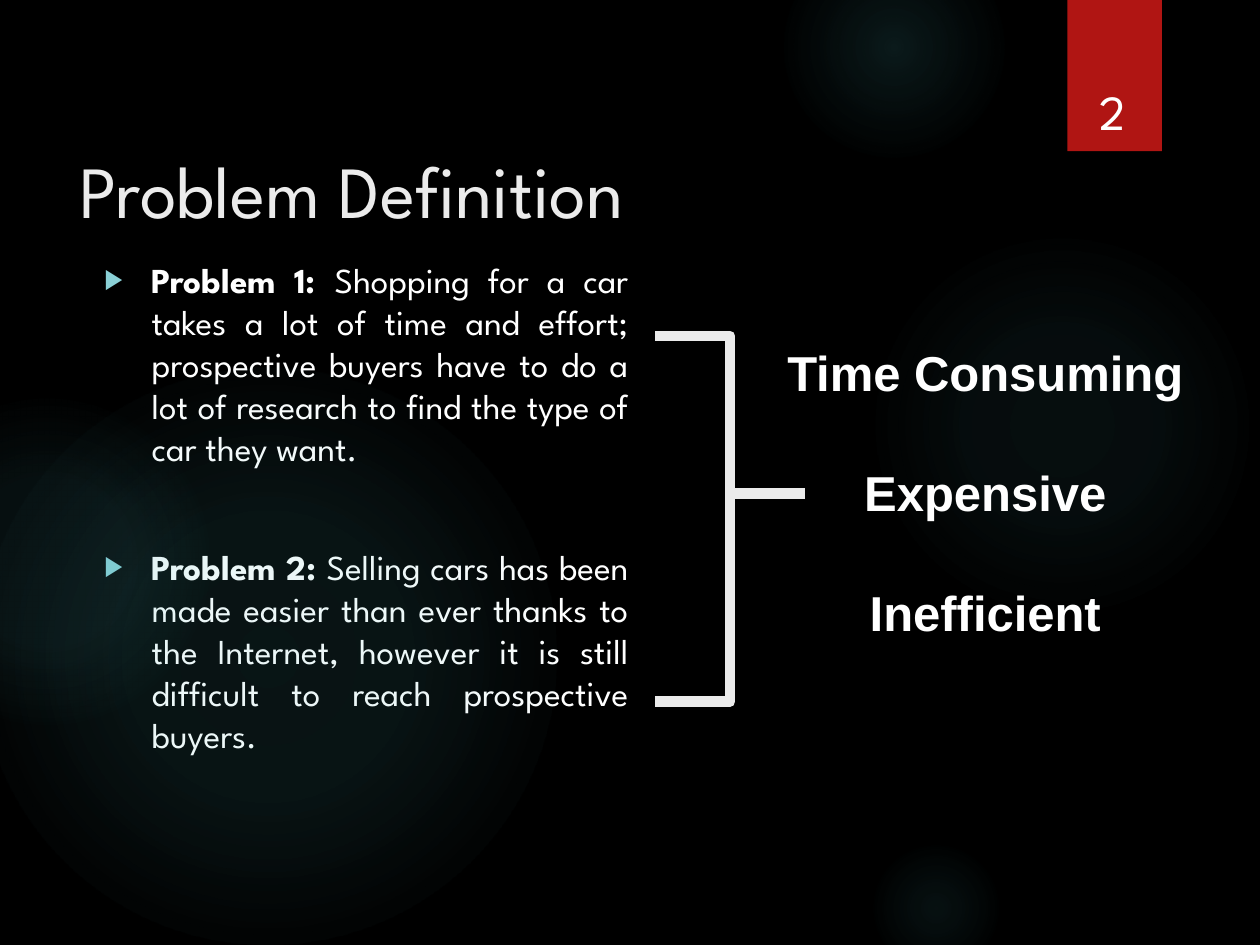
from lxml import etree
from pptx import Presentation
from pptx.dml.color import RGBColor
from pptx.enum.shapes import MSO_CONNECTOR, MSO_SHAPE
from pptx.enum.text import MSO_ANCHOR, MSO_AUTO_SIZE, PP_ALIGN
from pptx.oxml import parse_xml
from pptx.oxml.ns import nsdecls, qn
from pptx.util import Pt

ELBOW = MSO_CONNECTOR.ELBOW
OVAL, RECT = MSO_SHAPE.OVAL, MSO_SHAPE.RECTANGLE
TOP, MIDDLE, BOTTOM = MSO_ANCHOR.TOP, MSO_ANCHOR.MIDDLE, MSO_ANCHOR.BOTTOM
NO_FIT = MSO_AUTO_SIZE.NONE
LEFT, CENTER, JUSTIFY = PP_ALIGN.LEFT, PP_ALIGN.CENTER, PP_ALIGN.JUSTIFY

BLACK = RGBColor(0x00, 0x00, 0x00)
WHITE = RGBColor(0xFF, 0xFF, 0xFF)
PALE = RGBColor(0xEB, 0xEB, 0xEB)
RED = RGBColor(0xB0, 0x15, 0x13)
TEAL = RGBColor(0x50, 0xB9, 0xC1)
AQUA = RGBColor(0x8A, 0xD0, 0xD6)

GLOWS = [
    (496, 132, 222, [(0, 7), (36, 6), (69, 0)]),
    (448, -36, 126, [(0, 14), (36, 7), (73, 0)]),
    (496, 480, 78, [(0, 9), (36, 5), (66, 0)]),
    (-12, 210, 330, [(0, 11), (36, 10), (75, 0)]),
    (-66, 228, 186, [(0, 8), (36, 8), (72, 0)]),
]
PROBLEMS = [
    [("Problem 1: ", True),
     ("Shopping for a car takes a lot of time and effort; prospective buyers "
      "have to do a lot of research to find the type of car they want.", False)],
    [("Problem 2: ", True),
     ("Selling cars has been made easier than ever thanks to the Internet, "
      "however it is still difficult to reach prospective buyers.", False)],
]
EFFECTS = ["Time Consuming", "Expensive", "Inefficient"]


def add_bullet(paragraph, indent=27):
    props = paragraph._p.get_or_add_pPr()
    props.set("marL", str(Pt(indent)))
    props.set("indent", str(-Pt(indent)))
    for xml in (f'<a:buClr {nsdecls("a")}><a:srgbClr val="{AQUA}"/></a:buClr>',
                f'<a:buSzPct {nsdecls("a")} val="80000"/>',
                f'<a:buFont {nsdecls("a")} typeface="Arial"/>',
                f'<a:buChar {nsdecls("a")} char="▶"/>'):
        props.append(parse_xml(xml))


def write_text(frame, paragraphs, size, font="League Spartan", color=WHITE,
               align=LEFT, anchor=TOP, gap=0, bullets=False):
    frame.word_wrap = True
    frame.auto_size = NO_FIT
    frame.vertical_anchor = anchor
    for index, runs in enumerate(paragraphs):
        paragraph = frame.paragraphs[0] if index == 0 else frame.add_paragraph()
        if bullets:
            add_bullet(paragraph)
        paragraph.alignment = align
        paragraph.space_before = Pt(gap if index else 0)
        for words, bold in runs:
            run = paragraph.add_run()
            run.text = words
            run.font.name = font
            run.font.size = Pt(size)
            run.font.bold = bold
            run.font.color.rgb = color


class SlideBuilder:
    def __init__(self, slide):
        self.slide = slide
        slide.background.fill.solid()
        slide.background.fill.fore_color.rgb = BLACK

    def shape(self, kind, left, top, width, height):
        shape = self.slide.shapes.add_shape(
            kind, Pt(left), Pt(top), Pt(width), Pt(height))
        shape.shadow.inherit = False
        shape.line.fill.background()
        return shape

    def glow(self, left, top, size, stops):
        circle = self.shape(OVAL, left, top, size, size)
        marks = "".join(
            f'<a:gs pos="{place * 1000}"><a:srgbClr val="{TEAL}">'
            f'<a:alpha val="{alpha * 1000}"/></a:srgbClr></a:gs>'
            for place, alpha in stops)
        gradient = parse_xml(
            f'<a:gradFill {nsdecls("a")}><a:gsLst>{marks}</a:gsLst>'
            '<a:path path="circle"><a:fillToRect l="50000" t="50000" '
            'r="50000" b="50000"/></a:path></a:gradFill>')
        circle._element.spPr.find(qn("a:prstGeom")).addnext(gradient)

    def ribbon(self, left, top, width, height):
        ribbon = self.shape(RECT, left, top, width, height)
        ribbon.fill.solid()
        ribbon.fill.fore_color.rgb = RED

    def placeholder(self, index, box, paragraphs, **style):
        holder = self.slide.placeholders[index]
        holder.left, holder.top, holder.width, holder.height = map(Pt, box)
        write_text(holder.text_frame, paragraphs, **style)

    def text(self, box, paragraphs, **style):
        label = self.slide.shapes.add_textbox(*map(Pt, box))
        write_text(label.text_frame, paragraphs, **style)

    def elbow(self, start, end):
        arm = self.slide.shapes.add_connector(ELBOW, *map(Pt, start + end))
        arm.line.color.rgb = PALE
        arm.line.width = Pt(6)
        etree.SubElement(arm._element.spPr, qn("a:effectLst"))


def main():
    deck = Presentation()
    deck.slide_width, deck.slide_height = Pt(720), Pt(540)
    page = SlideBuilder(deck.slides.add_slide(deck.slide_layouts[1]))

    for glow in GLOWS:
        page.glow(*glow)
    page.ribbon(610, 0, 54, 86.4)

    page.placeholder(0, (38, 78, 556, 60), [[("Problem Definition", False)]],
                     size=42, color=PALE, anchor=MIDDLE)
    page.placeholder(1, (52.5, 144, 314, 340), PROBLEMS,
                     size=20, align=JUSTIFY, gap=44, bullets=True)
    page.text((611, 23, 50, 60.5), [[("2", False)]],
              size=28, align=CENTER, anchor=BOTTOM)
    page.text((431, 192, 264, 177), [[(effect, True)] for effect in EFFECTS],
              size=28, font="Arial", align=CENTER, gap=35)

    junction = (460, 282)
    for start in ((374.5, 192), (374.5, 401)):
        page.elbow(start, junction)

    deck.save("out.pptx")


if __name__ == "__main__":
    main()
